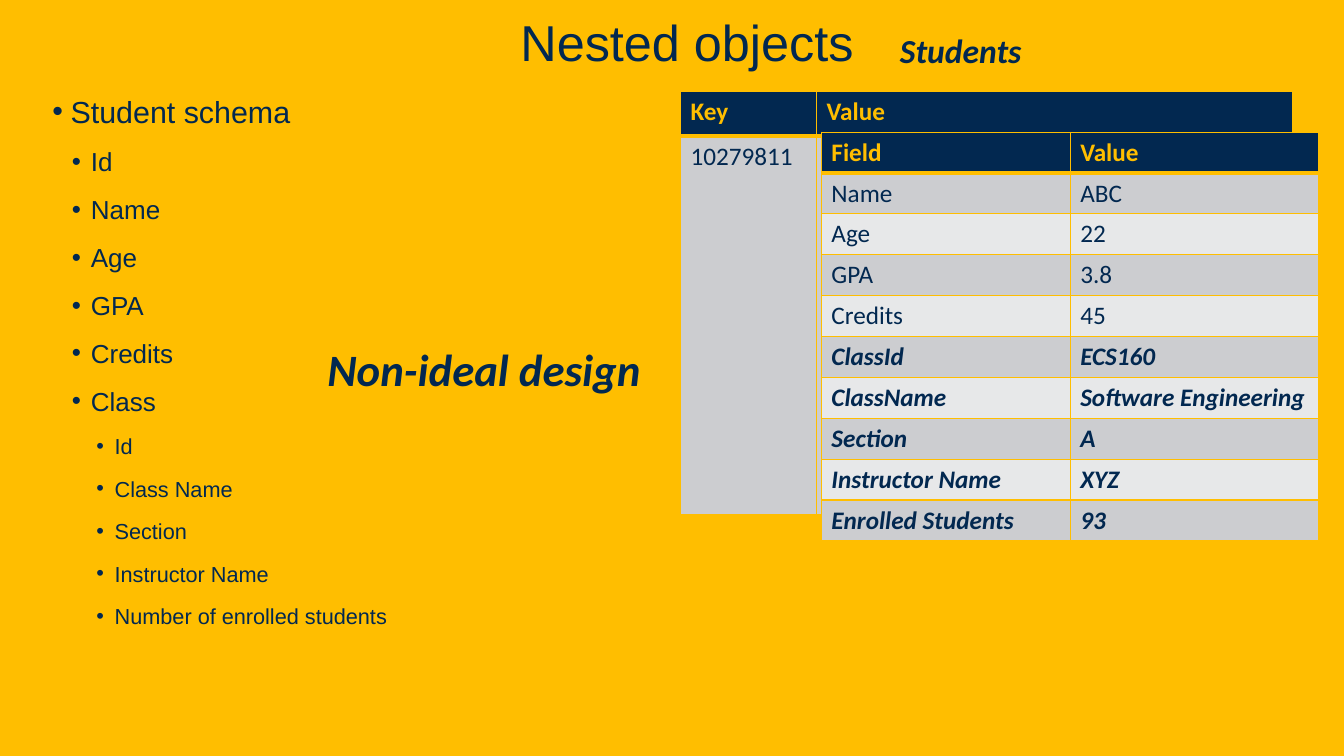
import pptx
import pptx.dml.color
import pptx.enum.text
import pptx.oxml
import pptx.oxml.ns
import pptx.util
from pptx.util import Cm

GOLD = pptx.dml.color.RGBColor(0xFF, 0xBE, 0x00)
NAVY = pptx.dml.color.RGBColor(0x02, 0x28, 0x50)
GREY = pptx.dml.color.RGBColor(0xCC, 0xCD, 0xD0)
LIGHT = pptx.dml.color.RGBColor(0xE7, 0xE8, 0xE9)
NS = pptx.oxml.ns.nsdecls("a")
NOWRAP = {"word_wrap": False, "auto_size": pptx.enum.text.MSO_AUTO_SIZE.SHAPE_TO_FIT_TEXT}


def add_run(p, text, color, **fmt):
    r = p.add_run()
    r.text = text
    r.font.color.rgb = color
    for name, value in fmt.items():
        setattr(r.font, name, value)


def add_grid(s, left, top, widths, heights, rows, emphasis_from):
    gf = s.shapes.add_table(len(rows), len(widths), Cm(left), Cm(top),
                            Cm(sum(widths)), Cm(sum(heights)))
    tbl = gf.table
    for col, width in zip(tbl.columns, widths):
        col.width = Cm(width)
    for i, (row, height) in enumerate(zip(rows, heights)):
        tbl.rows[i].height = Cm(height)
        strong = i >= emphasis_from
        for j, text in enumerate(row):
            cell = tbl.cell(i, j)
            cell.fill.solid()
            cell.fill.fore_color.rgb = NAVY if i == 0 else GREY if i % 2 else LIGHT
            add_run(cell.text_frame.paragraphs[0], text, GOLD if i == 0 else NAVY,
                    name="Calibri", size=pptx.util.Pt(18), bold=i == 0 or strong, italic=strong)
            for k, side in enumerate("LRTB"):
                width = pptx.util.Pt(3 if i == 0 and side == "B" else 1)
                ln = pptx.oxml.parse_xml(
                    f'<a:ln{side} {NS} w="{width}"><a:solidFill><a:srgbClr val="{GOLD}"/>'
                    f'</a:solidFill></a:ln{side}>')
                cell._tc.get_or_add_tcPr().insert(k, ln)


prs = pptx.Presentation()
prs.slide_width, prs.slide_height = Cm(33.87), Cm(19.05)
s = prs.slides.add_slide(prs.slide_layouts[6])
s.background.fill.solid()
s.background.fill.fore_color.rgb = GOLD

sp = s.shapes.add_textbox(0, 0, prs.slide_width, Cm(1.93))
tf = sp.text_frame
for name, value in {"word_wrap": True, "vertical_anchor": pptx.enum.text.MSO_ANCHOR.BOTTOM}.items():
    setattr(tf, name, value)
p = tf.paragraphs[0]
p.alignment = pptx.enum.text.PP_ALIGN.CENTER
p._p.get_or_add_pPr().set("marL", str(Cm(0.76)))
add_run(p, "Nested objects", NAVY, name="Arial", size=pptx.util.Pt(36))

schema = [
    (0, "Student schema"),
    (1, "Id"), (1, "Name"), (1, "Age"), (1, "GPA"), (1, "Credits"), (1, "Class"),
    (2, "Id"), (2, "Class Name"), (2, "Section"), (2, "Instructor Name"),
    (2, "Number of enrolled students"),
]
levels = [(21.7, 10, 0.46, 0.46), (18.6, 5, 0.97, 0.48), (15.5, 5, 1.57, 0.46)]
sp = s.shapes.add_textbox(Cm(1.07), Cm(2.18), Cm(15.65), Cm(14.02))
tf = sp.text_frame
tf.word_wrap = True
for i, (level, text) in enumerate(schema):
    size, before, margin, hang = levels[level]
    p = tf.add_paragraph() if i else tf.paragraphs[0]
    fmt = {"level": level, "line_spacing": 1.04,
           "space_before": pptx.util.Pt(before), "space_after": pptx.util.Pt(6)}
    for name, value in fmt.items():
        setattr(p, name, value)
    pPr = p._p.get_or_add_pPr()
    pPr.set("marL", str(Cm(margin)))
    pPr.set("indent", str(-Cm(hang)))
    pPr.append(pptx.oxml.parse_xml(f'<a:buFont {NS} typeface="Arial"/>'))
    pPr.append(pptx.oxml.parse_xml(f'<a:buChar {NS} char="•"/>'))
    add_run(p, text, NAVY, name="Arial", size=pptx.util.Pt(size))

add_grid(s, 17.15, 2.31, [3.43, 11.99], [1.12, 9.53],
         [("Key", "Value"), ("10279811", "")], 2)
student = [
    ("Field", "Value"), ("Name", "ABC"), ("Age", "22"), ("GPA", "3.8"), ("Credits", "45"),
    ("ClassId", "ECS160"), ("ClassName", "Software Engineering"), ("Section", "A"),
    ("Instructor Name", "XYZ"), ("Enrolled Students", "93"),
]
add_grid(s, 20.7, 3.33, [6.27] * 2, [1.03] * len(student), student, 5)

labels = [("Students", 24, 22.43, 0.64, 3.61, 1.27),
          ("Non-ideal design", 32, 8, 8.48, 8.48, 1.63)]
for text, size, *box in labels:
    sp = s.shapes.add_textbox(*map(Cm, box))
    tf = sp.text_frame
    for name, value in NOWRAP.items():
        setattr(tf, name, value)
    add_run(tf.paragraphs[0], text, NAVY, name="Calibri", size=pptx.util.Pt(size),
            bold=True, italic=True)

prs.save("out.pptx")
